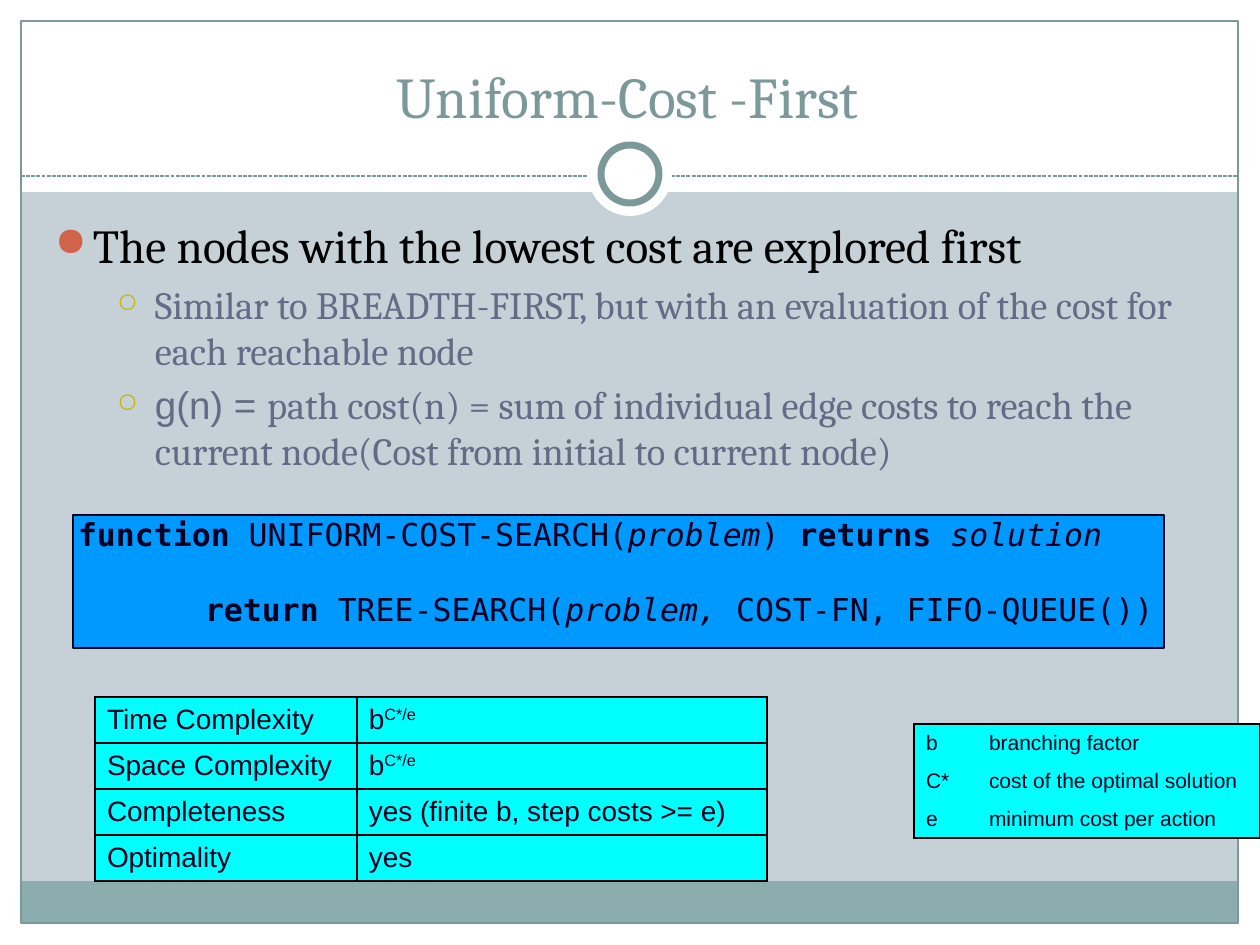
from dataclasses import dataclass

from lxml.etree import SubElement as Sub
from pptx import Presentation
from pptx.dml.color import RGBColor as Color
from pptx.enum.dml import MSO_LINE as Dash
from pptx.enum.shapes import MSO_CONNECTOR as Link, MSO_SHAPE as Kind
from pptx.enum.text import MSO_ANCHOR as Anchor, MSO_AUTO_SIZE as Fit, PP_ALIGN as Align
from pptx.oxml.ns import qn
from pptx.util import Pt


def px(n):
    return round(n * 914400 / 126)


@dataclass(frozen=True)
class Theme:
    back: str = "C5D1D7"
    white: str = "FFFFFF"
    black: str = "000000"
    teal: str = "7C999A"
    band: str = "8CADAE"
    slate: str = "646B86"
    red: str = "D16349"
    gold: str = "CCB400"
    blue: str = "0099FF"
    cyan: str = "00FFFF"
    ink: str = "000020"
    serif: str = "Cambria"
    sans: str = "Arial"
    mono: str = "DejaVu Sans Mono"
    title: int = 33
    main: int = 27
    sub: int = 22
    code: int = 18
    cell: int = 16
    note: int = 12


class Page:
    def __init__(self, deck, theme):
        self.theme = theme
        self.slide = deck.slides.add_slide(deck.slide_layouts[5])
        self.shapes = self.slide.shapes
        fill = self.slide.background.fill
        fill.solid()
        fill.fore_color.rgb = Color.from_string(theme.back)

    def shape(self, kind, box, fill=None, line=None, width=1):
        item = self.shapes.add_shape(kind, *map(px, box))
        item.shadow.inherit = False
        if fill:
            item.fill.solid()
            item.fill.fore_color.rgb = Color.from_string(fill)
        else:
            item.fill.background()
        if line:
            item.line.color.rgb = Color.from_string(line)
            item.line.width = Pt(width)
        else:
            item.line.fill.background()
        return item

    def rule(self, x1, y1, x2, y2, color):
        item = self.shapes.add_connector(Link.STRAIGHT, *map(px, (x1, y1, x2, y2)))
        item.line.color.rgb = Color.from_string(color)
        item.line.width = Pt(0.75)
        item.line.dash_style = Dash.SQUARE_DOT
        Sub(item._element.spPr, qn("a:effectLst"))

    def frame(self, item, pads, anchor=Anchor.TOP):
        tf = item.text_frame
        tf.word_wrap, tf.auto_size, tf.vertical_anchor = True, Fit.NONE, anchor
        tf.margin_left, tf.margin_top, tf.margin_right, tf.margin_bottom = map(px, pads)
        return tf

    def para(self, tf, first, left=0, hang=0, before=0, align=Align.LEFT):
        p = tf.paragraphs[0] if first else tf.add_paragraph()
        p.alignment = align
        props = p._p.get_or_add_pPr()
        props.set("marL", str(px(left)))
        props.set("indent", str(px(-hang)))
        if before:
            p.space_before = Pt(before)
        return p

    def bullet(self, p, char, color, size):
        props = p._p.get_or_add_pPr()
        Sub(Sub(props, qn("a:buClr")), qn("a:srgbClr"), val=color)
        Sub(props, qn("a:buSzPct"), val=str(size * 1000))
        Sub(props, qn("a:buChar"), char=char)

    def run(self, p, text, face, size, color, mark=""):
        r = p.add_run()
        r.text = text
        font = r.font
        font.name, font.size = face, Pt(size)
        font.color.rgb = Color.from_string(color)
        font.bold, font.italic = mark == "b", mark == "i"
        if mark == "sup":
            r._r.get_or_add_rPr().set("baseline", "30000")

    def title(self, text, box):
        t, item = self.theme, self.shapes.title
        item.left, item.top, item.width, item.height = map(px, box)
        tf = self.frame(item, (13, 6, 18, 6), Anchor.BOTTOM)
        p = self.para(tf, True, align=Align.CENTER)
        self.run(p, text, t.serif, t.title, t.teal)
        self.shapes._spTree.append(item._element)  # above the white band

    def body(self, rows, box):
        t = self.theme
        tf = self.frame(self.shapes.add_textbox(*map(px, box)), (13, 6, 18, 6))
        for i, (level, runs) in enumerate(rows):
            p = self.para(tf, not i, (38, 100)[level], 38, 4.5 if i else 0)
            self.bullet(p, *(("○", t.gold, 70) if level else ("●", t.red, 85)))
            size, color = (t.sub, t.slate) if level else (t.main, t.black)
            for text, face in runs:
                self.run(p, text, face, size, color)

    def code(self, rows, box):
        t = self.theme
        tf = self.frame(self.shape(Kind.RECTANGLE, box, t.blue, t.ink), (0, 0, 5, 0))
        for i, (left, before, runs) in enumerate(rows):
            p = self.para(tf, not i, left, before=before)
            for text, mark in runs:
                self.run(p, text, t.mono, t.code, t.ink, mark)

    def edges(self, cell, sides):
        props = cell._tc.get_or_add_tcPr()
        for side in "LRTB":
            line = Sub(props, qn(f"a:ln{side}"), w=str(Pt(1)))
            if side in sides:
                Sub(Sub(line, qn("a:solidFill")), qn("a:srgbClr"), val=self.theme.black)
            else:
                Sub(line, qn("a:noFill"))

    def table(self, rows, spot, cols, high, size, grid):
        t = self.theme
        last, end = len(rows) - 1, len(cols) - 1
        item = self.shapes.add_table(
            len(rows), len(cols), *map(px, (*spot, sum(cols), high * len(rows))))
        tab = item.table
        tab.first_row = tab.horz_banding = False
        for col, wide in zip(tab.columns, cols):
            col.width = px(wide)
        for i, row in enumerate(rows):
            tab.rows[i].height = px(high)
            for j, runs in enumerate(row):
                cell = tab.cell(i, j)
                outer = (("L", j == 0), ("R", j == end), ("T", i == 0), ("B", i == last))
                self.edges(cell, [side for side, on in outer if on or grid])
                cell.fill.solid()
                cell.fill.fore_color.rgb = Color.from_string(t.cyan)
                cell.margin_left = cell.margin_right = px(7)
                cell.margin_top = cell.margin_bottom = px(7)
                p = self.para(cell.text_frame, True, 5)
                for text, mark in runs:
                    self.run(p, text, t.sans, size, t.ink, mark)


def plain(text):
    return [(text, "")]


def main():
    deck = Presentation()
    deck.slide_width, deck.slide_height = px(1260), px(945)
    t = Theme()
    page = Page(deck, t)

    # White margins, footer band and outline
    for box in ((0, 924, 1260, 21), (0, 0, 1260, 192), (0, 0, 21, 945), (1239, 0, 21, 945)):
        page.shape(Kind.RECTANGLE, box, t.white)
    page.shape(Kind.RECTANGLE, (21, 881, 1217, 43), t.band)
    page.shape(Kind.RECTANGLE, (21, 21, 1217, 902), line=t.teal, width=0.75)

    # Dashed rule with its ring
    page.rule(21, 176, 1239, 176, t.teal)
    page.shape(Kind.OVAL, (588, 132, 84, 84), t.white)
    page.shape(Kind.OVAL, (601, 145, 58, 58), t.white, t.teal, 4)

    # Title and bullets
    page.title("Uniform-Cost -First", (42, 32, 1176, 104))
    page.body([
        (0, [("The nodes with the lowest cost are explored first", t.serif)]),
        (1, [("Similar to BREADTH-FIRST, but with an evaluation of the cost for "
              "each reachable node", t.serif)]),
        (1, [("g(n) = ", t.sans),
             ("path cost(n) = sum of individual edge costs to reach the "
              "current node(Cost from initial to current node)", t.serif)]),
    ], (42, 210, 1172, 630))

    # Search function
    page.code([
        (5, 0, [("function", "b"), (" UNIFORM-COST-SEARCH(", ""), ("problem", "i"),
                (") ", ""), ("returns ", "b"), ("solution", "i")]),
        (132, 21, [("return ", "b"), ("TREE-SEARCH(", ""), ("problem, ", "i"),
                   ("COST-FN, FIFO-QUEUE())", "")]),
    ], (73, 515, 1091, 133))

    # Properties and legend
    power = [("b", ""), ("C*/e", "sup")]
    page.table([
        (plain("Time Complexity"), power),
        (plain("Space Complexity"), power),
        (plain("Completeness"), plain("yes (finite b, step costs >= e)")),
        (plain("Optimality"), plain("yes")),
    ], (95, 697), (262, 410), 46, t.cell, True)
    page.table([
        (plain("b"), plain("branching factor")),
        (plain("C*"), plain("cost of the optimal solution")),
        (plain("e"), plain("minimum cost per action")),
    ], (914, 724), (63, 283), 38, t.note, False)

    deck.save("out.pptx")


if __name__ == "__main__":
    main()
